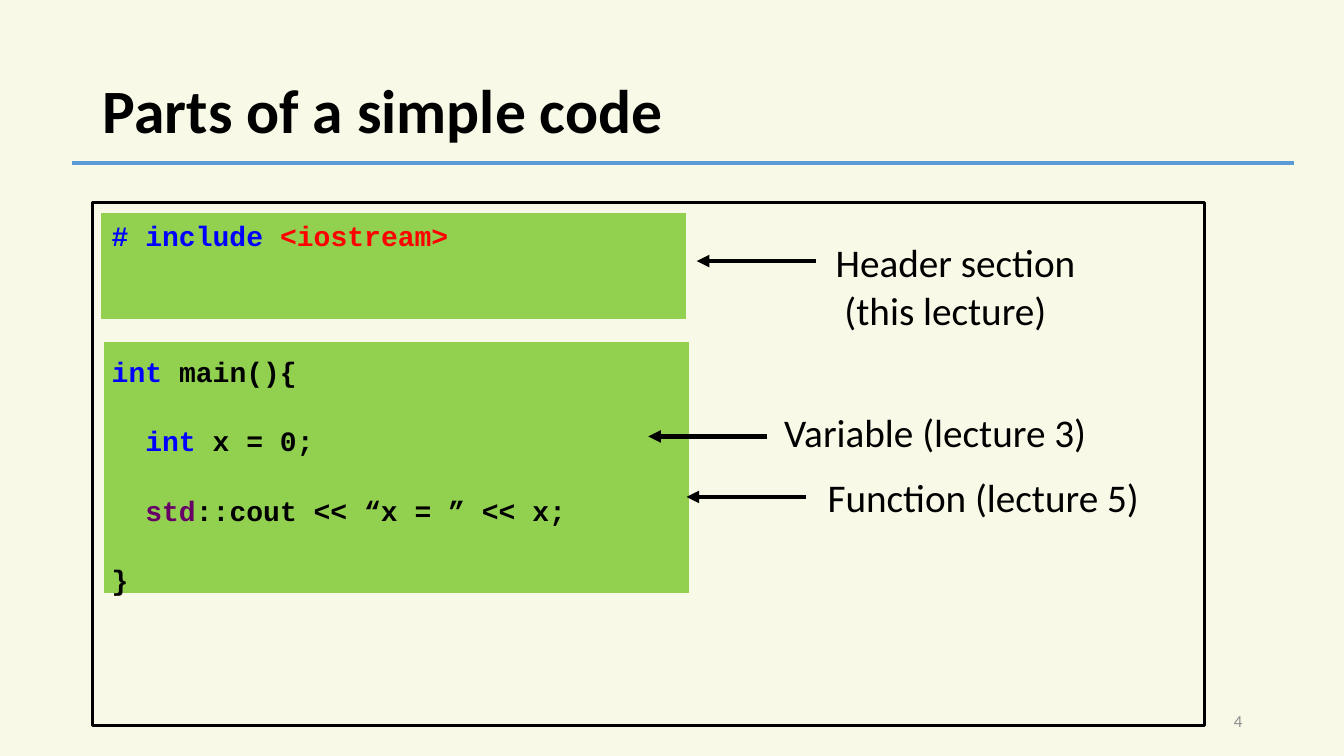
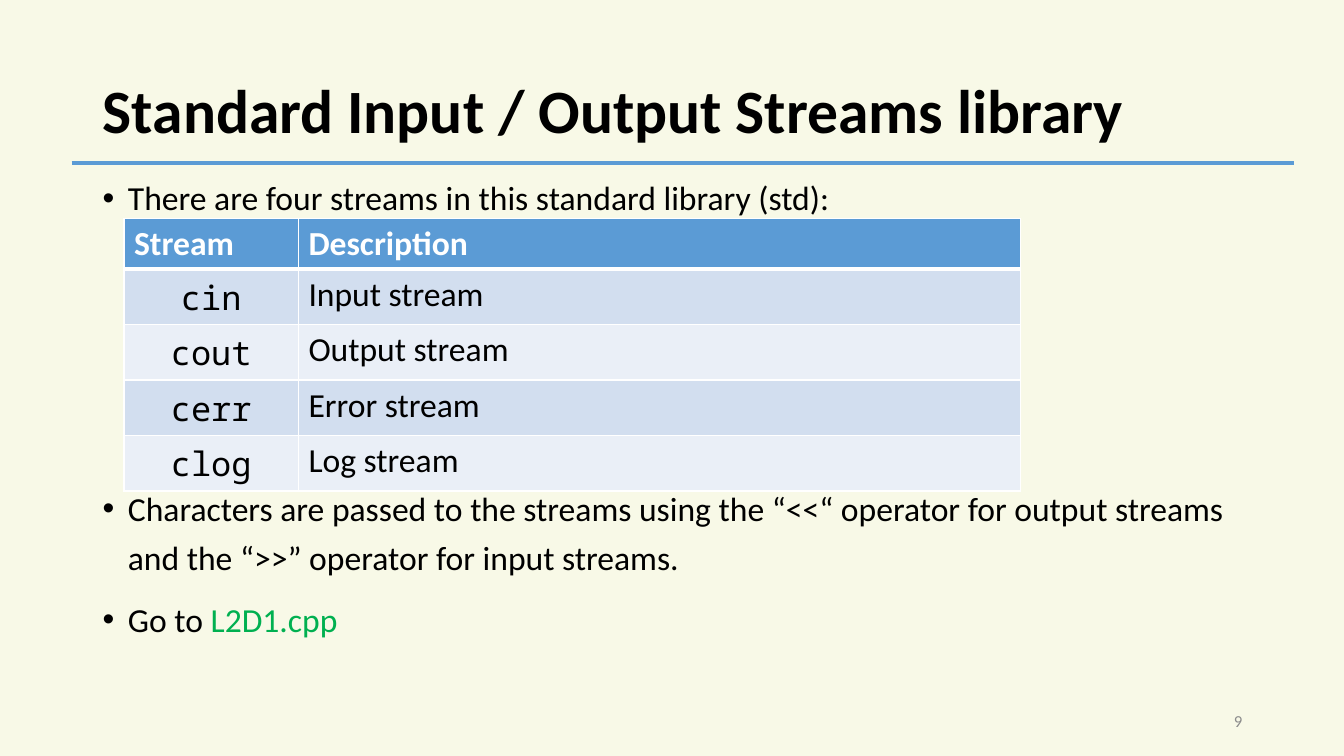
import pptx
import pptx.dml.color
import pptx.enum.shapes
import pptx.enum.text
import pptx.oxml
import pptx.oxml.ns
import pptx.util
from lxml import etree

Inches = pptx.util.Inches
Pt = pptx.util.Pt
ALIGN = pptx.enum.text.PP_ALIGN
ANCHOR = pptx.enum.text.MSO_ANCHOR
qn = pptx.oxml.ns.qn

CREAM, BLACK, WHITE, GREY = "F8F9E7", "000000", "FFFFFF", "8C8C8C"
BLUE, LIME, GREEN = "5B9BD5", "92D050", "00B050"
KEYWORD, HEADER_NAME, NAMESPACE = "0000FF", "FF0000", "660066"
BANDS = ("D2DEEF", "EAEFF7")
BODY_FONT, CODE_FONT, STREAM_FONT = "Calibri", "Courier New", "Noto Sans Mono"


def rgb(value):
    return pptx.dml.color.RGBColor.from_string(value)


def add_run(paragraph, text, size, color=BLACK, font=BODY_FONT, bold=False):
    run = paragraph.add_run()
    run.text = text
    run.font.size = Pt(size)
    run.font.name = font
    run.font.bold = bold
    run.font.color.rgb = rgb(color)


def add_text_frame(slide, left, top, width, height, anchor=ANCHOR.TOP):
    frame = slide.shapes.add_textbox(
        Inches(left), Inches(top), Inches(width), Inches(height)).text_frame
    frame.word_wrap = True
    frame.vertical_anchor = anchor
    return frame


def add_paragraph(frame, index, space_before=0):
    if index == 0:
        return frame.paragraphs[0]
    paragraph = frame.add_paragraph()
    paragraph.space_before = Pt(space_before)
    return paragraph


def add_line(slide, start, end, color, arrow=False):
    line = slide.shapes.add_connector(
        pptx.enum.shapes.MSO_CONNECTOR.STRAIGHT,
        Inches(start[0]), Inches(start[1]), Inches(end[0]), Inches(end[1]))
    line.line.color.rgb = rgb(color)
    line.line.width = Pt(3)
    if arrow:
        stroke = line.line._get_or_add_ln()
        etree.SubElement(stroke, qn("a:tailEnd"), type="triangle")
    etree.SubElement(line._element.spPr, qn("a:effectLst"))


def add_rectangle(slide, left, top, width, height, line, line_width, fill=None):
    rectangle = slide.shapes.add_shape(
        pptx.enum.shapes.MSO_SHAPE.RECTANGLE,
        Inches(left), Inches(top), Inches(width), Inches(height))
    rectangle.shadow.inherit = False
    rectangle.line.color.rgb = rgb(line)
    rectangle.line.width = Pt(line_width)
    if fill:
        rectangle.fill.solid()
        rectangle.fill.fore_color.rgb = rgb(fill)
    else:
        rectangle.fill.background()


def add_slide(deck, heading, number):
    slide = deck.slides.add_slide(deck.slide_layouts[5])
    title = slide.shapes.title
    title.left, title.top = Inches(0.92), Inches(0.4)
    title.width, title.height = Inches(11.5), Inches(1.45)
    title.text_frame.vertical_anchor = ANCHOR.MIDDLE
    paragraph = title.text_frame.paragraphs[0]
    paragraph.alignment = ALIGN.LEFT
    paragraph.line_spacing = 0.9
    add_run(paragraph, heading, 44, bold=True)
    add_line(slide, (0.71, 1.62), (12.83, 1.62), BLUE)
    footer = add_text_frame(slide, 9.42, 6.95, 3, 0.4, ANCHOR.MIDDLE)
    footer.paragraphs[0].alignment = ALIGN.RIGHT
    add_run(footer.paragraphs[0], str(number), 12, GREY)
    return slide


def add_code(slide, lines):
    frame = add_text_frame(slide, 1.01, 2.12, 5.5, 4.11)
    for index, (gap, pieces) in enumerate(lines):
        paragraph = add_paragraph(frame, index, gap)
        for text, color in pieces:
            add_run(paragraph, text, 20, color, CODE_FONT, True)


def add_callout(slide, arrow_left, arrow_top, left, top, lines):
    add_line(slide, (arrow_left + 1.18, arrow_top), (arrow_left, arrow_top),
             BLACK, arrow=True)
    frame = add_text_frame(slide, left, top, 3.7, 0.1 + 0.47 * len(lines))
    for index, text in enumerate(lines):
        add_run(add_paragraph(frame, index), text, 28)


def add_bullets(slide, items):
    frame = add_text_frame(slide, 0.92, 1.63, 11.68, 5.35)
    for index, (gap, pieces) in enumerate(items):
        paragraph = add_paragraph(frame, index, gap)
        paragraph.line_spacing = 1.2
        properties = paragraph._p.get_or_add_pPr()
        properties.set("marL", str(Inches(0.25)))
        properties.set("indent", str(-Inches(0.25)))
        etree.SubElement(properties, qn("a:buFont"), typeface="Arial")
        etree.SubElement(properties, qn("a:buChar"), char="•")
        for text, color in pieces:
            add_run(paragraph, text, 24, color)


def set_borders(cell, widths):
    properties = cell._tc.get_or_add_tcPr()
    for position, (side, width) in enumerate(widths.items()):
        border = etree.Element(qn("a:ln" + side), w=str(Pt(width)))
        fill = etree.SubElement(border, qn("a:solidFill"))
        etree.SubElement(fill, qn("a:srgbClr"), val=WHITE)
        properties.insert(position, border)


def add_stream_table(slide, rows):
    table = slide.shapes.add_table(
        len(rows), 2, Inches(1.23), Inches(2.17), Inches(8.89), Inches(2.7)).table
    table.first_row = table.horz_banding = False
    for column, width in zip(table.columns, (1.73, 7.16)):
        column.width = Inches(width)
    for row, texts in enumerate(rows):
        header = row == 0
        table.rows[row].height = Inches(0.5 if header else 0.55)
        for column, text in enumerate(texts):
            cell = table.cell(row, column)
            cell.fill.solid()
            cell.fill.fore_color.rgb = rgb(BLUE if header else BANDS[(row - 1) % 2])
            set_borders(cell, {"L": 1, "R": 1, "T": 3 if row == 1 else 1,
                               "B": 3 if header else 1})
            paragraph = cell.text_frame.paragraphs[0]
            stream_name = column == 0 and not header
            paragraph.alignment = ALIGN.CENTER if stream_name else ALIGN.LEFT
            add_run(paragraph, text, 24, WHITE if header else BLACK,
                    STREAM_FONT if stream_name else BODY_FONT, header)


def build_code_parts(deck):
    slide = add_slide(deck, "Parts of a simple code", 4)
    add_rectangle(slide, 1.04, 3.4, 5.79, 2.48, LIME, 1, LIME)
    add_rectangle(slide, 1.01, 2.12, 5.79, 1.04, LIME, 1, LIME)
    add_rectangle(slide, 0.92, 2.01, 11.03, 5.19, BLACK, 2.25)
    add_code(slide, [
        (0, [("# include ", KEYWORD), ("<iostream>", HEADER_NAME)]),
        (73, [("int ", KEYWORD), ("main(){", BLACK)]),
        (25.5, [("  int ", KEYWORD), ("x = 0;", BLACK)]),
        (25.5, [("  std", NAMESPACE), ("::cout << “x = ” << x;", BLACK)]),
        (25.5, [("}", BLACK)]),
    ])
    add_callout(slide, 6.91, 2.59, 8.19, 2.32, ["Header section", " (this lecture)"])
    add_callout(slide, 6.81, 4.93, 8.11, 4.65, ["Function (lecture 5)"])
    add_callout(slide, 6.43, 4.33, 7.68, 4, ["Variable (lecture 3)"])


def build_streams(deck):
    slide = add_slide(deck, "Standard Input / Output Streams library", 9)
    add_bullets(slide, [
        (0, [("There are four streams in this standard library (std):", BLACK)]),
        (187.5, [("Characters are passed to the streams using the “<<“ operator for "
                  "output streams and the “>>” operator for input streams.", BLACK)]),
        (10, [("Go to ", BLACK), ("L2D1.cpp", GREEN)]),
    ])
    add_stream_table(slide, [
        ("Stream", "Description"),
        ("cin", "Input stream"),
        ("cout", "Output stream"),
        ("cerr", "Error stream"),
        ("clog", "Log stream"),
    ])


def main():
    deck = pptx.Presentation()
    deck.slide_width, deck.slide_height = Inches(13.33), Inches(7.5)
    background = deck.slide_master.background.fill
    background.solid()
    background.fore_color.rgb = rgb(CREAM)
    build_code_parts(deck)
    build_streams(deck)
    deck.save("out.pptx")


if __name__ == "__main__":
    main()
